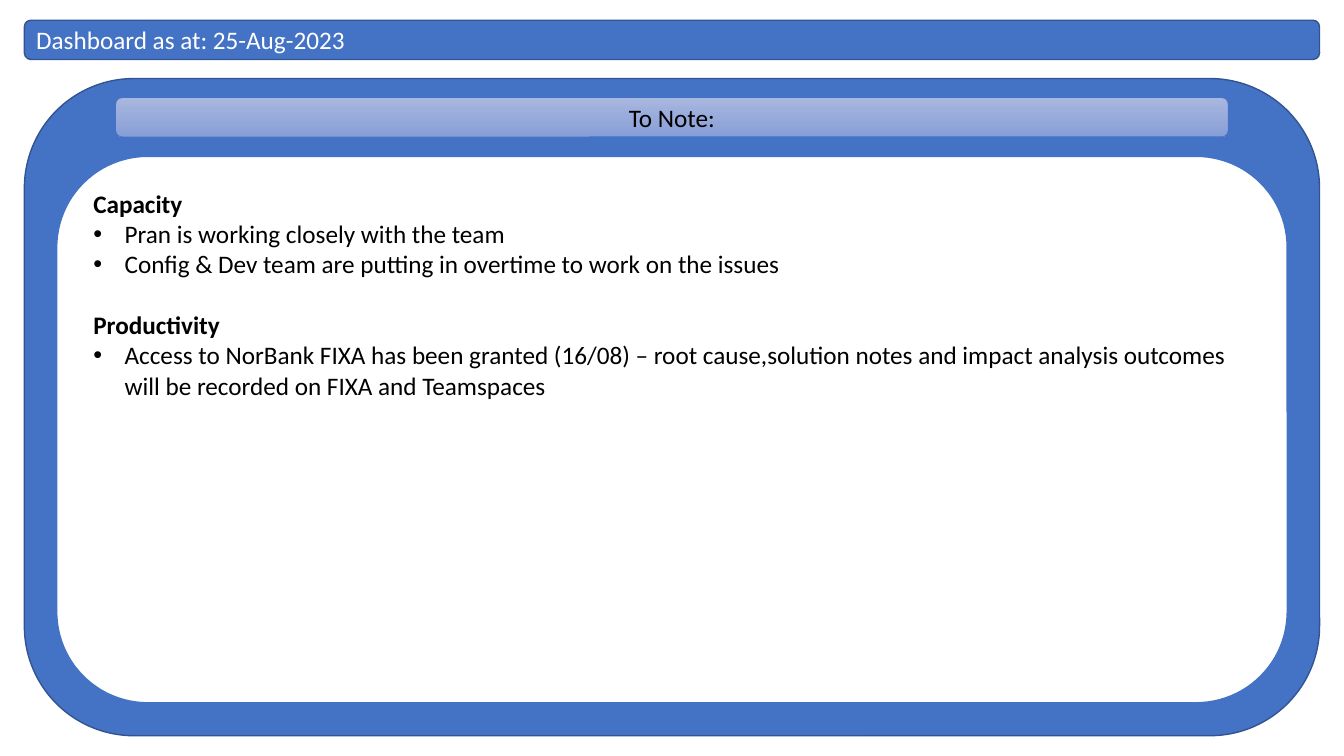
from lxml.etree import SubElement
from pptx import Presentation
from pptx.dml.color import RGBColor
from pptx.enum.shapes import MSO_SHAPE
from pptx.enum.text import MSO_ANCHOR, PP_ALIGN
from pptx.oxml.ns import qn
from pptx.util import Cm, Pt

COLORS = {
    "blue": "4472C4",
    "edge": "325491",
    "white": "FFFFFF",
    "black": "000000",
    "pale": "A8B7DF",
    "soft": "889ED7",
}
SLIDE_WIDTH, SLIDE_HEIGHT = 33.87, 19.05
NOTES = [
    ("Capacity", [
        "Pran is working closely with the team",
        "Config & Dev team are putting in overtime to work on the issues",
    ]),
    ("Productivity", [
        "Access to NorBank FIXA has been granted (16/08) – root cause,solution notes "
        "and impact analysis outcomes will be recorded on FIXA and Teamspaces",
    ]),
]


def rgb(name):
    return RGBColor.from_string(COLORS[name])


def write(paragraph, text, color="black", bold=False, align=PP_ALIGN.LEFT,
          bullet=False, space_before=0):
    if bullet:
        properties = paragraph._p.get_or_add_pPr()
        properties.set("marL", str(Cm(0.79)))
        properties.set("indent", str(-Cm(0.79)))
        SubElement(properties, qn("a:buFont"), typeface="Arial")
        SubElement(properties, qn("a:buChar"), char="•")
    paragraph.alignment = align
    paragraph.space_before = Pt(space_before)
    run = paragraph.add_run()
    run.text = text
    run.font.name = "Calibri"
    run.font.size = Pt(18)
    run.font.bold = bold
    run.font.color.rgb = rgb(color)


class Dashboard:
    def __init__(self, slide):
        self.slide = slide

    def panel(self, top, width, height, fill="blue", line="edge", line_width=1):
        """Add a rounded panel centred across the slide."""
        left = (SLIDE_WIDTH - width) / 2
        panel = self.slide.shapes.add_shape(
            MSO_SHAPE.ROUNDED_RECTANGLE, Cm(left), Cm(top), Cm(width), Cm(height))
        panel.shadow.inherit = False
        panel.fill.solid()
        panel.fill.fore_color.rgb = rgb(fill)
        panel.line.color.rgb = rgb(line)
        panel.line.width = Pt(line_width)
        return panel

    def banner(self, text, top, width, gradient=None, **text_format):
        banner = self.panel(top, width, 0.99)
        if gradient:
            banner.fill.gradient()
            banner.fill.gradient_angle = 270
            for stop, color in zip(banner.fill.gradient_stops, gradient):
                stop.color.rgb = rgb(color)
            banner.line.color.rgb = rgb("blue")
            banner.line.width = Pt(0.5)
        banner.text_frame.vertical_anchor = MSO_ANCHOR.MIDDLE
        write(banner.text_frame.paragraphs[0], text, **text_format)

    def notes(self, sections, top, width, height):
        frame = self.panel(top, width, height, fill="white", line="blue").text_frame
        frame.word_wrap = True
        frame.vertical_anchor = MSO_ANCHOR.TOP
        for number, (heading, items) in enumerate(sections):
            title = frame.add_paragraph() if number else frame.paragraphs[0]
            write(title, heading, bold=True, space_before=22 if number else 0)
            for item in items:
                write(frame.add_paragraph(), item, bullet=True)


def main():
    deck = Presentation()
    deck.slide_width, deck.slide_height = Cm(SLIDE_WIDTH), Cm(SLIDE_HEIGHT)
    dashboard = Dashboard(deck.slides.add_slide(deck.slide_layouts[6]))
    dashboard.banner("Dashboard as at: 25-Aug-2023", 0.51, 32.64, color="white")
    dashboard.panel(1.98, 32.64, 16.56)
    dashboard.banner("To Note:", 2.46, 28.04, gradient=("pale", "soft"),
                     align=PP_ALIGN.CENTER)
    dashboard.notes(NOTES, 3.94, 31.01, 13.77)
    deck.save("out.pptx")


if __name__ == "__main__":
    main()
